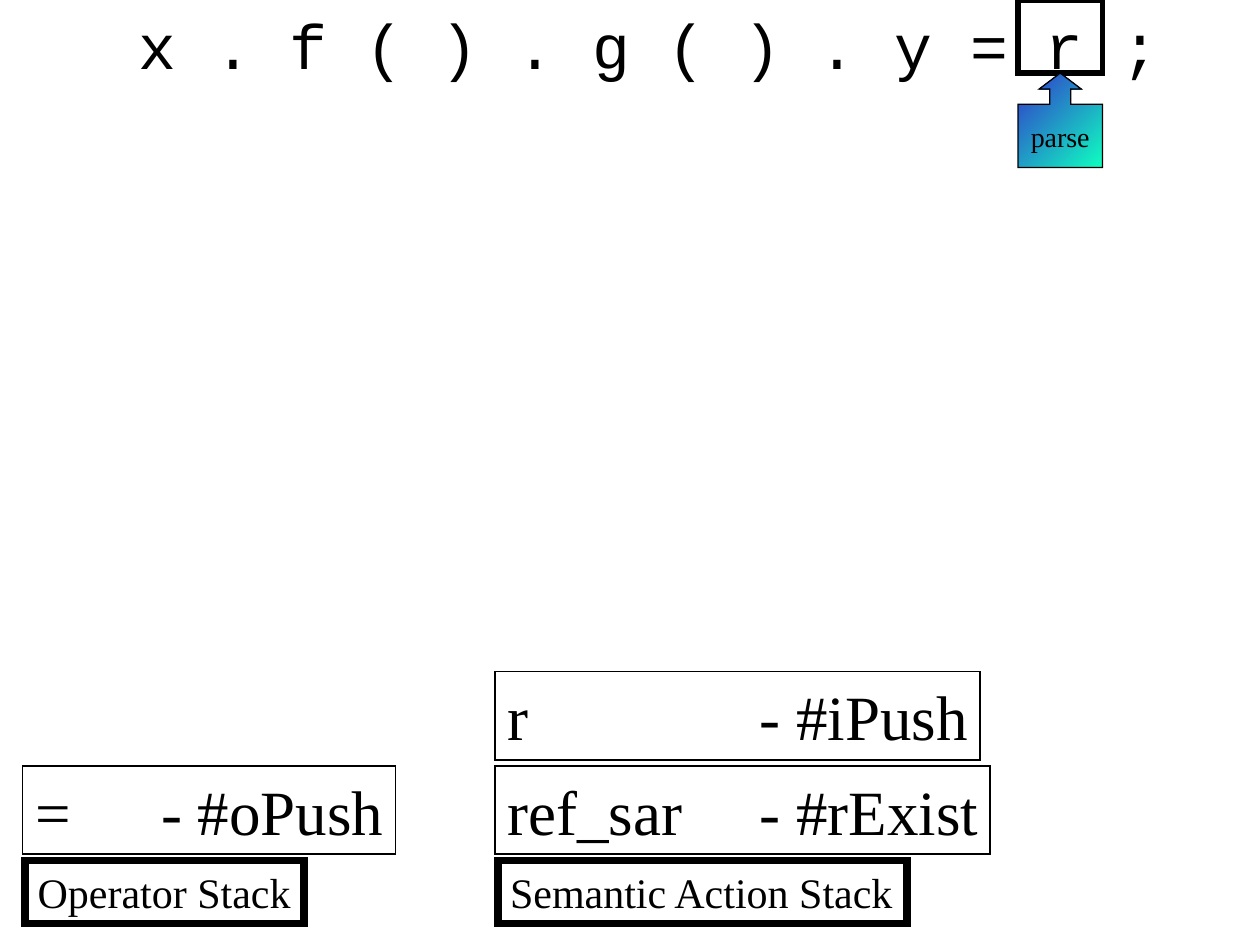
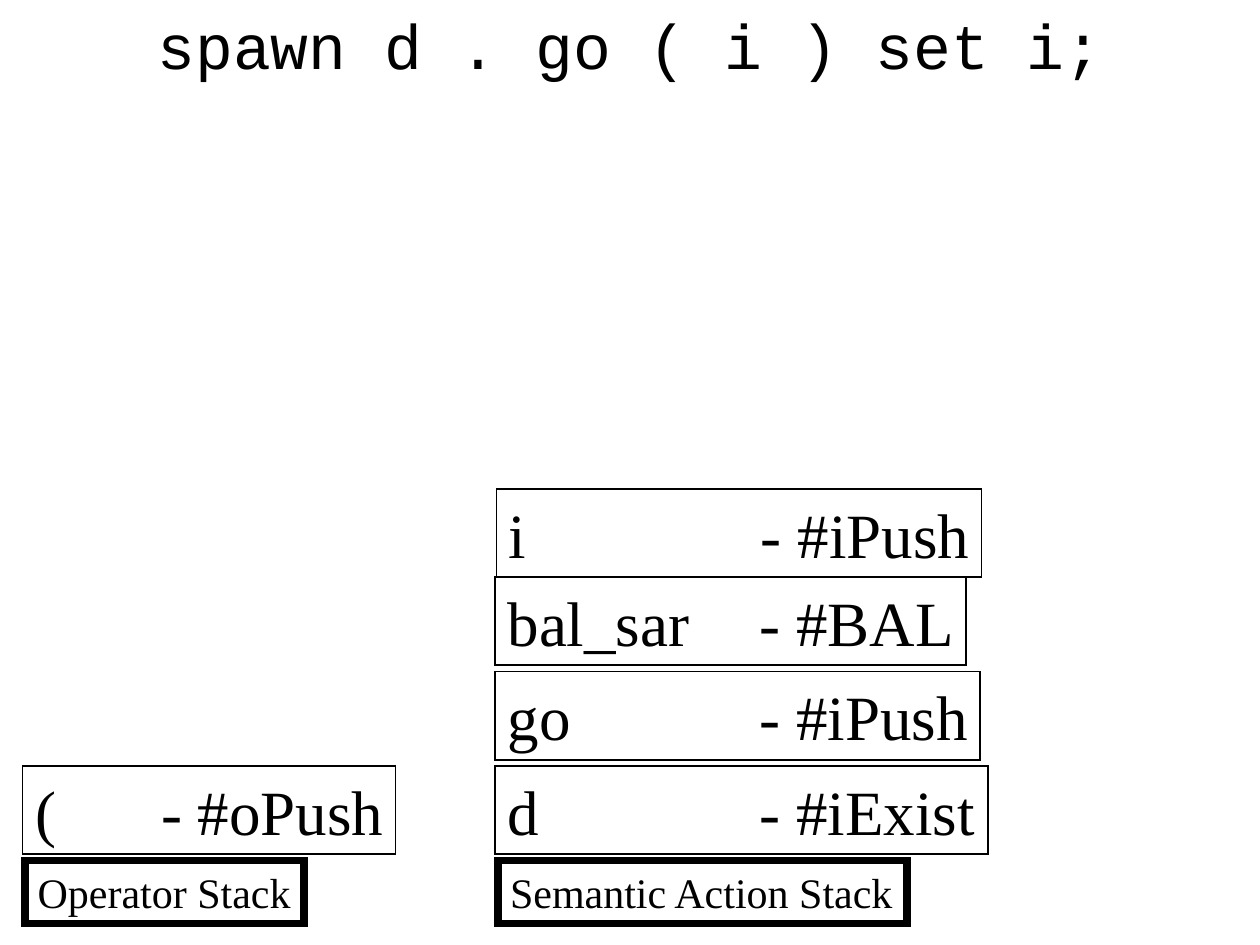
from dataclasses import dataclass

from lxml.etree import SubElement
from pptx import Presentation
from pptx.dml.color import RGBColor
from pptx.enum.shapes import MSO_SHAPE
from pptx.enum.text import MSO_ANCHOR, MSO_AUTO_SIZE, PP_ALIGN
from pptx.oxml.ns import qn
from pptx.util import Inches, Pt


@dataclass(frozen=True)
class Theme:
    ink: RGBColor = RGBColor(0, 0, 0)
    blue: RGBColor = RGBColor(0x33, 0x33, 0xCC)
    mint: RGBColor = RGBColor(0x0F, 0xFF, 0xC0)
    code: str = "Courier New"
    serif: str = "Times New Roman"
    large: int = 36
    label: int = 24
    small: int = 16


THEME = Theme()


def write(shape, text, size, face, align=PP_ALIGN.LEFT, wrap=False):
    frame = shape.text_frame
    frame.text = text
    frame.word_wrap = wrap
    frame.auto_size = MSO_AUTO_SIZE.SHAPE_TO_FIT_TEXT
    frame.vertical_anchor = MSO_ANCHOR.TOP
    if align == PP_ALIGN.LEFT:
        frame.margin_right = Inches(0.05)
    para = frame.paragraphs[0]
    para.alignment = align
    stops = SubElement(para._p.get_or_add_pPr(), qn("a:tabLst"))
    for inch in range(1, 8):
        SubElement(stops, qn("a:tab"), pos=str(Inches(inch)), algn="l")
    for run in para.runs:
        run.font.size = Pt(size)
        run.font.name = face
        run.font.color.rgb = THEME.ink


def frame_box(shapes, kind, left, top, width, height, line):
    box = shapes.add_shape(kind, Inches(left), Inches(top), Inches(width), Inches(height))
    box.shadow.inherit = False
    box.fill.background()
    box.line.color.rgb = THEME.ink
    box.line.width = Pt(line)
    SubElement(box._element.spPr.find(qn("a:ln")), qn("a:miter"), lim="800000")
    return box


def add_code(slide, text, left, top, width, height):
    box = slide.shapes.add_textbox(Inches(left), Inches(top), Inches(width), Inches(height))
    write(box, text, THEME.large, THEME.code, PP_ALIGN.CENTER, True)


def add_mark(slide, text, left, top, width, height):
    split = top + 0.58
    shapes = slide.shapes.add_group_shape().shapes
    frame_box(shapes, MSO_SHAPE.RECTANGLE, left, top, width, split - top, 3)
    arrow = frame_box(shapes, MSO_SHAPE.UP_ARROW_CALLOUT, left, split, width,
                      top + height - split, 0.75)
    for index, ratio in enumerate((0.25, 0.25, 0.19, 0.67)):
        arrow.adjustments[index] = ratio
    arrow.fill.gradient()
    arrow.fill.gradient_angle = 315
    for stop, color, place in zip(arrow.fill.gradient_stops, (THEME.blue, THEME.mint), (0, 1)):
        stop.color.rgb = color
        stop.position = place
    write(arrow, text, THEME.small, THEME.serif, PP_ALIGN.CENTER)
    arrow.text_frame.auto_size = MSO_AUTO_SIZE.NONE
    arrow.text_frame.vertical_anchor = MSO_ANCHOR.MIDDLE


def add_stack(slide, name, left, base, width, items):
    box = frame_box(slide.shapes, MSO_SHAPE.RECTANGLE, left + 0.02, base, width, 0.5, 4.5)
    write(box, name, THEME.label, THEME.serif)
    for level, (text, span, *shift) in enumerate(items, 1):
        right, down = shift or (0, 0)
        box = frame_box(slide.shapes, MSO_SHAPE.RECTANGLE, left + right,
                        base - 0.75 * level + down, span, 0.7, 1)
        write(box, text, THEME.large, THEME.serif)


def add_state(deck, code, ops, acts):
    slide = deck.slides.add_slide(deck.slide_layouts[6])
    add_code(slide, code, 0, 0, 10, 0.7)
    add_stack(slide, "Operator Stack", 0.18, 6.83, 2.21, ops)
    add_stack(slide, "Semantic Action Stack", 3.93, 6.83, 3.25, acts)
    return slide


def main():
    deck = Presentation()
    deck.slide_width, deck.slide_height = Inches(10), Inches(7.5)
    slide = add_state(deck, " x . f ( ) . g ( ) . y = r ;",
                      [("= \t- #oPush", 2.96)],
                      [("ref_sar\t- #rExist", 3.93), ("r\t\t- #iPush", 3.85)])
    add_mark(slide, "parse", 8.08, 0, 0.67, 1.33)
    add_state(deck, "spawn d . go ( i ) set i;",
              [("( \t- #oPush", 2.96)],
              [("d\t\t- #iExist", 3.91), ("go\t\t- #iPush", 3.85),
               ("bal_sar\t- #BAL", 3.74), ("i\t\t- #iPush", 3.85, 0.01, 0.05)])
    deck.save("out.pptx")


if __name__ == "__main__":
    main()
